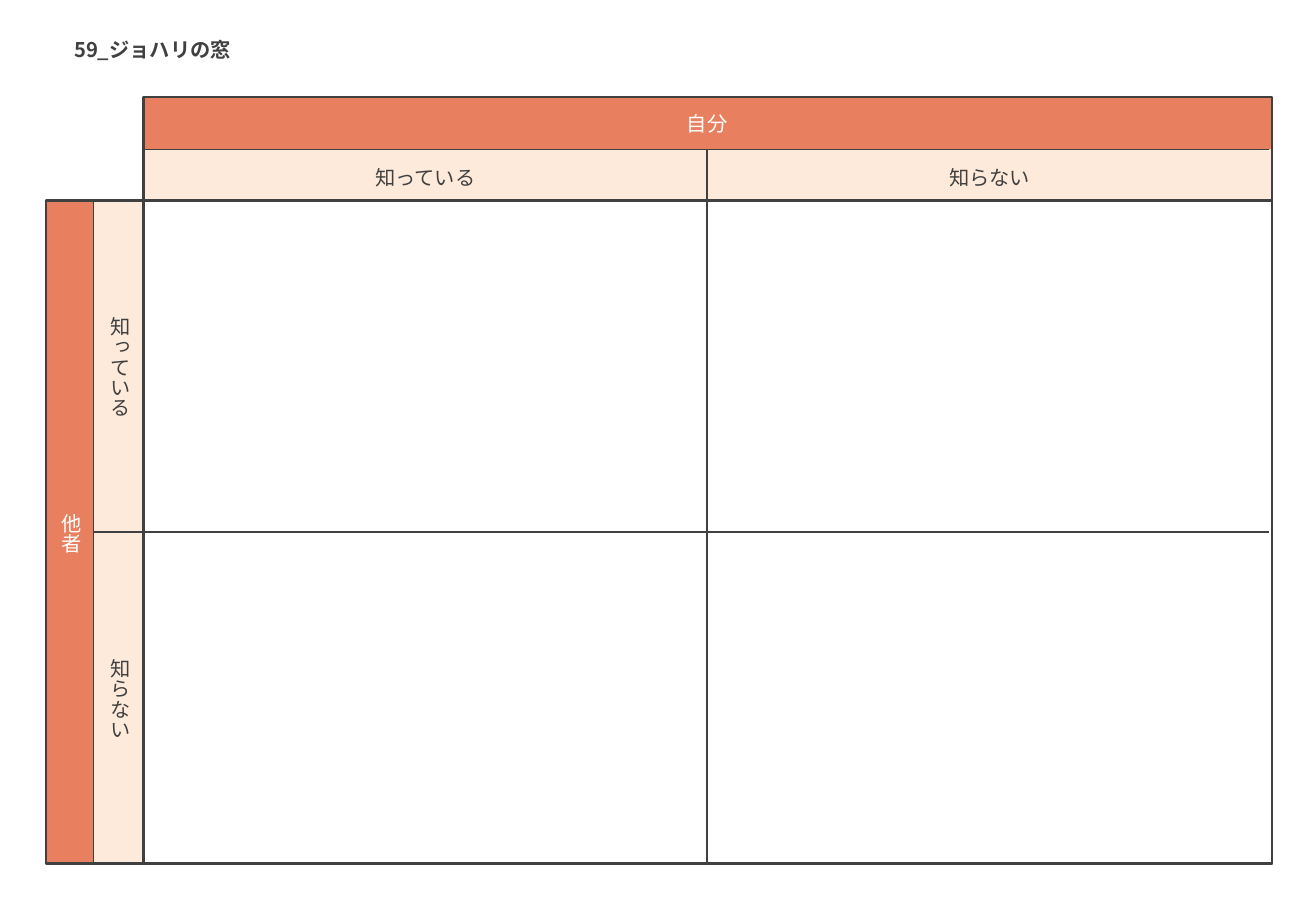
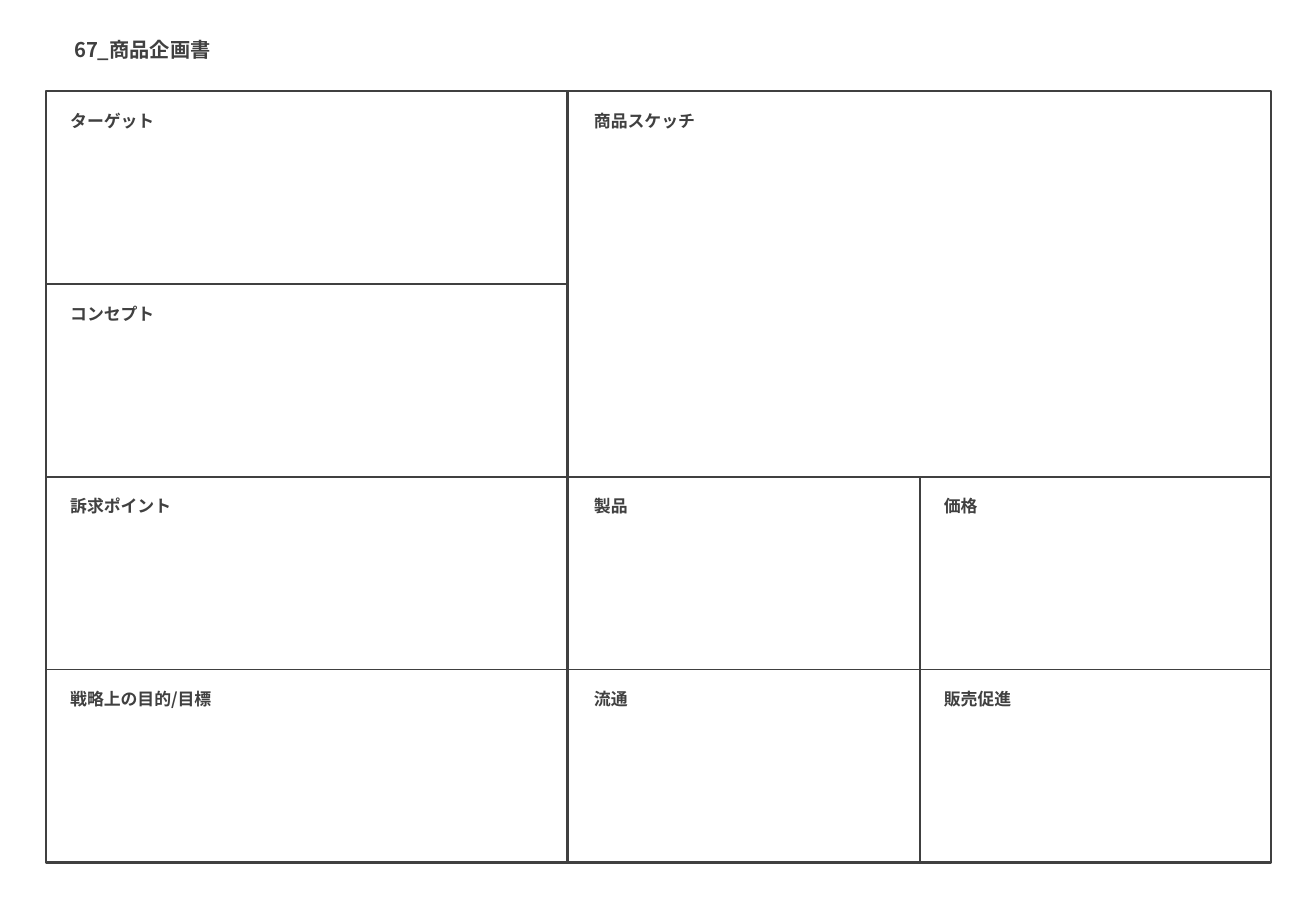
from pptx import Presentation
from pptx.dml.color import RGBColor
from pptx.enum.lang import MSO_LANGUAGE_ID
from pptx.enum.shapes import MSO_CONNECTOR, MSO_SHAPE
from pptx.enum.text import MSO_ANCHOR, MSO_AUTO_SIZE, PP_ALIGN
from pptx.oxml.ns import qn
from pptx.util import Inches, Pt
from lxml import etree

# Shared style
FONT = "Noto Sans CJK JP"
COLORS = {"ink": "404040", "white": "FFFFFF", "coral": "E8805F", "peach": "FDEADA"}
RECT, STRAIGHT = MSO_SHAPE.RECTANGLE, MSO_CONNECTOR.STRAIGHT
TOP, MIDDLE = MSO_ANCHOR.TOP, MSO_ANCHOR.MIDDLE
LEFT, CENTER = PP_ALIGN.LEFT, PP_ALIGN.CENTER
FIT = MSO_AUTO_SIZE.SHAPE_TO_FIT_TEXT
JAPANESE = MSO_LANGUAGE_ID.JAPANESE
TITLE_ONLY = 5


def rgb(name):
    return RGBColor.from_string(COLORS[name])


def write(sp, text, size=12, color="ink", bold=False, align=LEFT, anchor=TOP,
          wrap=False, vertical=False):
    tf = sp.text_frame
    tf.word_wrap, tf.auto_size, tf.vertical_anchor = wrap, FIT, anchor
    if vertical:
        sp.element.txBody.bodyPr.set("vert", "eaVert")
    p = tf.paragraphs[0]
    p.alignment = align
    r = p.add_run()
    r.text = text
    font = r.font
    font.size, font.bold, font.name = Pt(size), bold, FONT
    font.language_id = JAPANESE
    font.color.rgb = rgb(color)
    # East Asian typeface follows the Latin one
    latin = r.font._element.find(qn("a:latin"))
    ea = etree.Element(qn("a:ea"), typeface=FONT)
    latin.addnext(ea)


def add_rect(s, x, y, w, h, fill=None, line=None):
    sp = s.shapes.add_shape(RECT, Inches(x), Inches(y), Inches(w), Inches(h))
    sp.shadow.inherit = False
    if fill:
        sp.fill.solid()
        sp.fill.fore_color.rgb = rgb(fill)
    else:
        sp.fill.background()
    if line:
        sp.line.color.rgb = rgb("ink")
        sp.line.width = Pt(line)
    else:
        sp.line.fill.background()


def add_rule(s, x1, y1, x2, y2, width=1):
    c = s.shapes.add_connector(STRAIGHT, Inches(x1), Inches(y1), Inches(x2), Inches(y2))
    c.line.color.rgb = rgb("ink")
    c.line.width = Pt(width)
    etree.SubElement(c.element.spPr, qn("a:effectLst"))


def add_text(s, text, x, y, w, h, **style):
    sp = s.shapes.add_textbox(Inches(x), Inches(y), Inches(w), Inches(h))
    write(sp, text, **style)


def add_axis_label(s, text, cx, cy, color="ink", vertical=False):
    """Centre a heading on (cx, cy), running down when vertical."""
    length = 0.17 * len(text) + (0.16 if vertical else 0.22)
    w, h = (0.42, length) if vertical else (length, 0.33)
    add_text(s, text, cx - w / 2, cy - h / 2, w, h, color=color,
             align=CENTER, anchor=MIDDLE, vertical=vertical)


def add_titled_slide(prs, title, width):
    s = prs.slides.add_slide(prs.slide_layouts[TITLE_ONLY])
    sp = s.shapes.title
    sp.left, sp.top, sp.width, sp.height = map(Inches, (0.51, 0.26, width, 0.3))
    write(sp, title, bold=True)
    return s


def build_johari(prs):
    s = add_titled_slide(prs, "59_ジョハリの窓", 1.55)
    left, inner_left, grid_left, mid_x, right = 0.38, 0.77, 1.18, 5.82, 10.47
    top, inner_top, grid_top, mid_y, bottom = 0.8, 1.23, 1.65, 4.38, 7.11

    # Header bands
    add_rect(s, grid_left, inner_top, right - grid_left, grid_top - inner_top, fill="peach")
    add_rect(s, inner_left, grid_top, grid_left - inner_left, bottom - grid_top, fill="peach")
    add_rect(s, grid_left, top, right - grid_left, inner_top - top, fill="coral")
    add_rect(s, left, grid_top, inner_left - left, bottom - grid_top, fill="coral")

    # Inner rules
    add_rule(s, mid_x, inner_top, mid_x, bottom)
    add_rule(s, inner_left, mid_y, 10.44, mid_y)
    add_rule(s, grid_left, inner_top, 10.44, inner_top)
    add_rule(s, inner_left, bottom, inner_left, grid_top)

    # Axis headings
    add_axis_label(s, "自分", mid_x, 1.02, color="white")
    add_axis_label(s, "他者", 0.58, mid_y, color="white", vertical=True)
    xs, ys = (grid_left, mid_x, right), (grid_top, mid_y, bottom)
    for i, text in enumerate(("知っている", "知らない")):
        add_axis_label(s, text, (xs[i] + xs[i + 1]) / 2, 1.46)
        add_axis_label(s, text, 0.99, (ys[i] + ys[i + 1]) / 2, vertical=True)

    # Outer frames
    add_rect(s, left, grid_top, right - left, bottom - grid_top, line=1.5)
    add_rect(s, grid_left, top, right - grid_left, bottom - top, line=1.5)


def build_product_plan(prs):
    s = add_titled_slide(prs, "67_商品企画書", 1.39)
    left, split, sub_split, right = 0.38, 4.67, 7.57, 10.46
    top, bottom = 0.75, 7.1
    row_h = (bottom - top) / 4
    rows = [top + i * row_h for i in range(4)]

    # Frame and rules
    add_rect(s, left, top, right - left, bottom - top, line=1.5)
    for y, end in zip(rows[1:], (split, right, right)):
        add_rule(s, left, y, end, y)
    add_rule(s, split, top, split, bottom, width=1.5)
    add_rule(s, sub_split, rows[2], sub_split, bottom)

    # Cell headings: label left edge, first row, texts downward
    columns = (
        (0.48, 0, ("ターゲット", "コンセプト", "訴求ポイント", "戦略上の目的/目標")),
        (4.79, 0, ("商品スケッチ",)),
        (4.79, 2, ("製品", "流通")),
        (7.67, 2, ("価格", "販売促進")),
    )
    for x, first, texts in columns:
        for y, text in zip(rows[first:], texts):
            add_text(s, text, x, y + 0.11, 1.44, 0.27, size=10, bold=True, wrap=True)


def main():
    prs = Presentation()
    prs.slide_width, prs.slide_height = Inches(10.83), Inches(7.5)
    build_johari(prs)
    build_product_plan(prs)
    prs.save("out.pptx")


if __name__ == "__main__":
    main()
